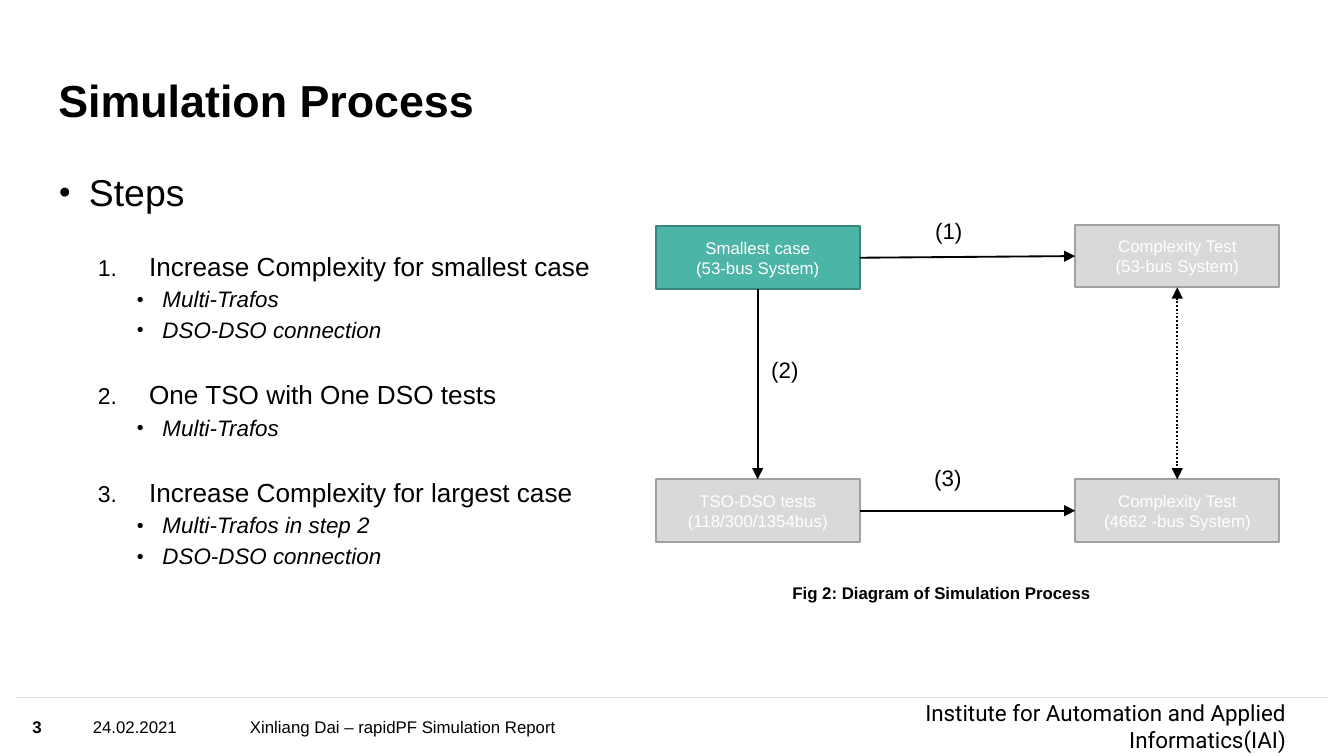
from lxml import etree
from pptx import Presentation
from pptx.dml.color import RGBColor
from pptx.enum import dml, shapes, text
from pptx.oxml.ns import qn
from pptx.util import Pt

BLACK = RGBColor(0x00, 0x00, 0x00)
WHITE = RGBColor(0xFF, 0xFF, 0xFF)
TEAL = RGBColor(0x4C, 0xB5, 0xA7)
DARK_TEAL = RGBColor(0x38, 0x86, 0x7C)
LIGHT_GREY = RGBColor(0xD9, 0xD9, 0xD9)
MID_GREY = RGBColor(0xA1, 0xA1, 0xA1)

LEFT, RIGHT, CENTER = text.PP_ALIGN.LEFT, text.PP_ALIGN.RIGHT, text.PP_ALIGN.CENTER
TOP, MIDDLE, BOTTOM = text.MSO_ANCHOR.TOP, text.MSO_ANCHOR.MIDDLE, text.MSO_ANCHOR.BOTTOM


def write(shape, lines, size, color=BLACK, align=LEFT, anchor=TOP, wrap=True, inset=True, **font):
    """Fill a shape with one paragraph per line, all in the same format."""
    frame = shape.text_frame
    frame.word_wrap = wrap
    frame.vertical_anchor = anchor
    if not inset:
        for side in ("left", "top", "right", "bottom"):
            setattr(frame, f"margin_{side}", 0)
    frame.text = "\n".join(lines)
    for paragraph in frame.paragraphs:
        paragraph.alignment = align
        for key, value in {"name": "Arial", "size": Pt(size), **font}.items():
            setattr(paragraph.font, key, value)
        paragraph.font.color.rgb = color


def style_line(connector, color, arrows=()):
    """Draw a shadowless 1 pt line; arrows lists headEnd and/or tailEnd."""
    connector.line.width = Pt(1)
    connector.line.color.rgb = color
    etree.SubElement(connector._element.spPr, qn("a:effectLst"))
    for end in arrows:
        etree.SubElement(connector.line._get_or_add_ln(), qn(f"a:{end}"), type="triangle")


prs = Presentation()
prs.slide_width, prs.slide_height = Pt(720), Pt(405)
slide = prs.slides.add_slide(prs.slide_layouts[6])
canvas = slide.shapes

# Title and footer
footer_top, footer_height = 373.7, 31
footer_rule = canvas.add_connector(
    shapes.MSO_CONNECTOR.STRAIGHT, Pt(8.6), Pt(footer_top), Pt(711.4), Pt(footer_top))
style_line(footer_rule, LIGHT_GREY)

footer = [
    ("3", 17.3, 26, {"size": 9, "bold": True}),
    ("24.02.2021", 49.7, 80.6, {"size": 9}),
    ("Xinliang Dai – rapidPF Simulation Report", 133.9, 290, {"size": 9}),
    ("Institute for Automation and Applied Informatics(IAI)", 433.4, 255.6,
     {"size": 12, "name": "Roboto", "align": RIGHT}),
]
for wording, left, width, style in footer:
    part = canvas.add_textbox(Pt(left), Pt(footer_top), Pt(width), Pt(footer_height))
    write(part, [wording], anchor=MIDDLE, inset=False, **style)

title = canvas.add_textbox(Pt(31.2), Pt(23), Pt(540.7), Pt(45.4))
write(title, ["Simulation Process"], 24, anchor=BOTTOM, inset=False, bold=True)
title.text_frame.paragraphs[0].line_spacing = 0.9

# Steps: each level has its own indent, size and bullet
levels = [
    {"margin": 16, "hanging": 16, "size": 20, "before": 3.6, "italic": False},
    {"margin": 48.2, "hanging": 27.4, "size": 14, "before": 20.6, "italic": False},
    {"margin": 55.4, "hanging": 13.7, "size": 12, "before": 3.6, "italic": True},
]
steps = [
    (0, "Steps"),
    (1, "Increase Complexity for smallest case"),
    (2, "Multi-Trafos"),
    (2, "DSO-DSO connection"),
    (1, "One TSO with One DSO tests"),
    (2, "Multi-Trafos"),
    (1, "Increase Complexity for largest case"),
    (2, "Multi-Trafos in step 2"),
    (2, "DSO-DSO connection"),
]
outline = canvas.add_textbox(Pt(31.7), Pt(93.6), Pt(304.6), Pt(265))
write(outline, [wording for _, wording in steps], 12, inset=False)
for paragraph, (depth, _) in zip(outline.text_frame.paragraphs, steps):
    level = levels[depth]
    paragraph.level = depth
    paragraph.line_spacing = 0.9
    paragraph.space_before = Pt(level["before"])
    paragraph.font.size = Pt(level["size"])
    paragraph.font.italic = level["italic"]
    props = paragraph._p.get_or_add_pPr()
    props.set("marL", str(Pt(level["margin"])))
    props.set("indent", str(-Pt(level["hanging"])))
    bullet_size = etree.Element(qn("a:buSzPct"), val="88000")
    bullet_font = etree.Element(qn("a:buFont"), typeface="Arial")
    if depth == 1:
        bullet = etree.Element(qn("a:buAutoNum"), type="arabicPeriod")
    else:
        bullet = etree.Element(qn("a:buChar"), char="•")
    # Bullets come before the default run properties
    for item in (bullet_size, bullet_font, bullet):
        props.find(qn("a:defRPr")).addprevious(item)

# Process diagram
left_column, right_column = 351.2, 576
upper_row, lower_row = 120.4, 256.8
stages = {
    "smallest": (left_column, upper_row + 0.9, TEAL, DARK_TEAL,
                 ["Smallest case", "(53-bus System)"]),
    "complex": (right_column, upper_row, LIGHT_GREY, MID_GREY,
                ["Complexity Test", "(53-bus System)"]),
    "tso_dso": (left_column, lower_row, LIGHT_GREY, MID_GREY,
                ["TSO-DSO tests", "(118/300/1354bus)"]),
    "largest": (right_column, lower_row, LIGHT_GREY, MID_GREY,
                ["Complexity Test", "(4662 -bus System)"]),
}
boxes = {}
for stage, (left, top, fill, border, lines) in stages.items():
    box = canvas.add_shape(shapes.MSO_SHAPE.RECTANGLE, Pt(left), Pt(top), Pt(109.4), Pt(33.6))
    box.shadow.inherit = False
    box.fill.solid()
    box.fill.fore_color.rgb = fill
    box.line.color.rgb = border
    box.line.width = Pt(1)
    write(box, lines, 9, color=WHITE, align=CENTER, anchor=MIDDLE)
    boxes[stage] = box

flows = [
    ("smallest", 3, "complex", 1, ["tailEnd"]),
    ("smallest", 2, "tso_dso", 0, ["tailEnd"]),
    ("tso_dso", 3, "largest", 1, ["tailEnd"]),
    ("complex", 2, "largest", 0, ["headEnd", "tailEnd"]),
]
for source, source_side, target, target_side, arrows in flows:
    flow = canvas.add_connector(shapes.MSO_CONNECTOR.STRAIGHT, 0, 0, 0, 0)
    flow.begin_connect(boxes[source], source_side)
    flow.end_connect(boxes[target], target_side)
    if len(arrows) == 2:
        flow.line.dash_style = dml.MSO_LINE.ROUND_DOT
    style_line(flow, BLACK, arrows)

for wording, left, top in [("(1)", 493.9, 113), ("(2)", 406.1, 187.2), ("(3)", 493.4, 245)]:
    step_label = canvas.add_textbox(Pt(left), Pt(top), Pt(31), Pt(24.5))
    write(step_label, [wording], 12, wrap=False)

caption = canvas.add_textbox(Pt(417.4), Pt(308.9), Pt(257.8), Pt(45.4))
write(caption, ["Fig 2: Diagram of Simulation Process"], 9, bold=True)

prs.save("out.pptx")
